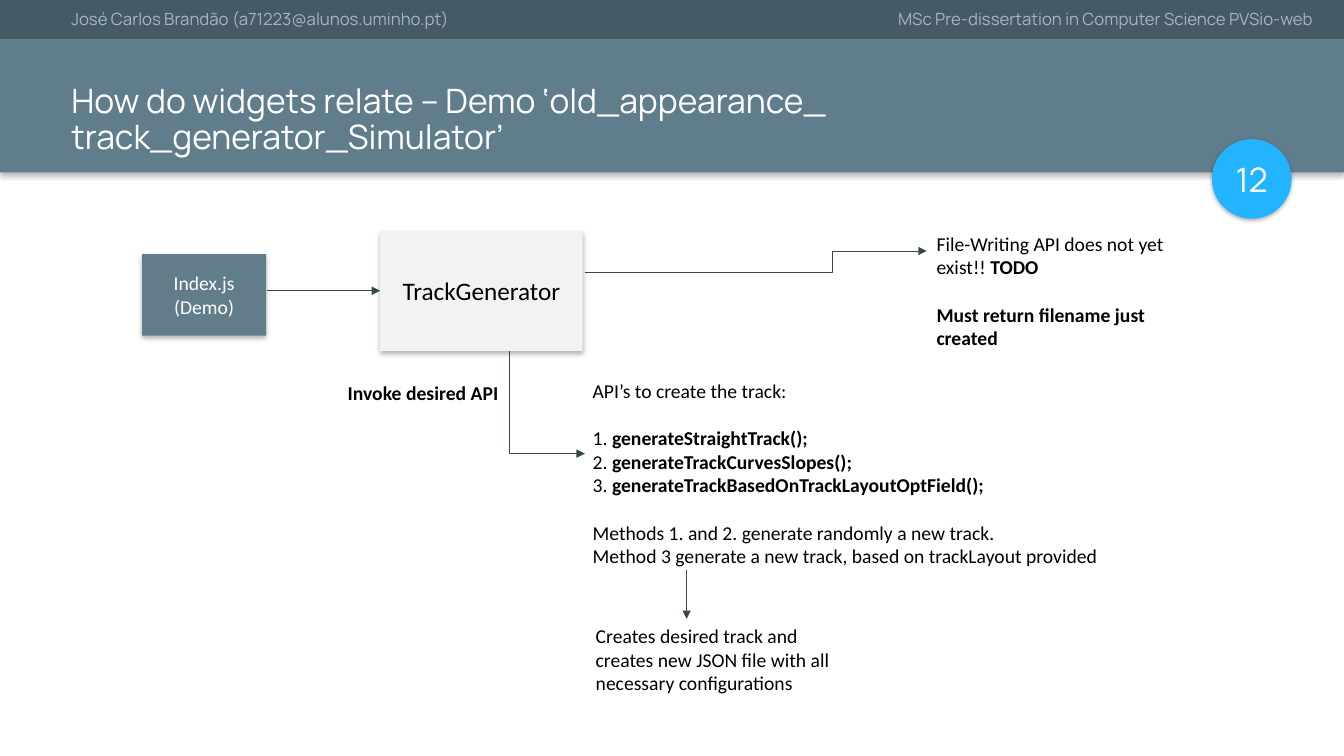
from dataclasses import dataclass

from lxml import etree
from pptx import Presentation
from pptx import util as u
from pptx.dml import color
from pptx.enum import shapes, text
from pptx.oxml import ns


@dataclass(frozen=True)
class Theme:
    heading_font: str = "Manrope"
    body_font: str = "Calibri"
    strip: str = "455A64"
    band: str = "607D8B"
    badge: str = "23B4FF"
    demo: str = "617D8A"
    generator: str = "F2F2F2"
    arrow: str = "37474F"
    muted: str = "A7B5BE"
    white: str = "FFFFFF"
    black: str = "000000"
    title_size: int = 24
    node_size: int = 18
    body_size: int = 14
    strip_size: int = 12
    paragraph_gap: int = 17
    arrow_width: float = 0.5


@dataclass(frozen=True)
class Box:
    left: float
    top: float
    width: float
    height: float

    def inner(self, left, top, width, height):
        return Box(self.left + left, self.top + top, width, height)

    def lengths(self):
        return [u.Inches(v) for v in (self.left, self.top, self.width, self.height)]


THEME = Theme()


def add_element(parent, tag, **attributes):
    return etree.SubElement(parent, ns.qn(tag), attributes)


def add_run(paragraph, words, size, font, ink, bold=False):
    run = paragraph.add_run()
    run.text = words
    run.font.size = u.Pt(size)
    run.font.name = font
    run.font.bold = bold
    run.font.color.rgb = color.RGBColor.from_string(ink)


def add_panel(slide, box, fill, kind=shapes.MSO_SHAPE.RECTANGLE, blur=4, distance=2):
    shape = slide.shapes.add_shape(kind, *box.lengths())
    shape.fill.solid()
    shape.fill.fore_color.rgb = color.RGBColor.from_string(fill)
    shape.line.fill.background()
    shape.shadow.inherit = False
    effects = shape._element.spPr.find(ns.qn("a:effectLst"))
    shadow = add_element(effects, "a:outerShdw", blurRad=str(u.Pt(blur)),
                         dist=str(u.Pt(distance)), dir="5400000", rotWithShape="0")
    shade = add_element(shadow, "a:srgbClr", val=THEME.black)
    add_element(shade, "a:alpha", val="30000")
    return shape


def add_label(shape, words, size, font, ink):
    frame = shape.text_frame
    frame.word_wrap = True
    frame.vertical_anchor = text.MSO_ANCHOR.MIDDLE
    paragraph = frame.paragraphs[0]
    paragraph.alignment = text.PP_ALIGN.CENTER
    add_run(paragraph, words, size, font, ink)


def add_heading(slide, box, words, size, ink):
    frame = slide.shapes.add_textbox(*box.lengths()).text_frame
    frame.word_wrap = True
    paragraph = frame.paragraphs[0]
    paragraph.line_spacing = 0.9
    add_run(paragraph, words, size, THEME.heading_font, ink)


def add_note(slide, box, groups):
    frame = slide.shapes.add_textbox(*box.lengths()).text_frame
    frame.word_wrap = True
    paragraph = None
    for group in groups:
        for position, runs in enumerate(group):
            starts_group = paragraph is not None and position == 0
            paragraph = frame.add_paragraph() if paragraph is not None else frame.paragraphs[0]
            if starts_group:
                paragraph.space_before = u.Pt(THEME.paragraph_gap)
            for words, bold in runs:
                add_run(paragraph, words, THEME.body_size, THEME.body_font, THEME.black, bold)


def add_arrow(slide, start, end, kind=shapes.MSO_CONNECTOR.STRAIGHT, bend=None):
    connector = slide.shapes.add_connector(kind, *(u.Inches(v) for v in (*start, *end)))
    connector.line.color.rgb = color.RGBColor.from_string(THEME.arrow)
    connector.line.width = u.Pt(THEME.arrow_width)
    properties = connector._element.spPr
    add_element(properties.find(ns.qn("a:ln")), "a:tailEnd", type="triangle")
    add_element(properties, "a:effectLst")
    if bend is not None:
        guides = properties.find(ns.qn("a:prstGeom")).find(ns.qn("a:avLst"))
        add_element(guides, "a:gd", name="adj1", fmla=f"val {round(bend * 100000)}")
    return connector


def add_down_right_arrow(slide, start, end):
    across, down = end[0] - start[0], end[1] - start[1]
    middle_x, middle_y = start[0] + across / 2, start[1] + down / 2
    connector = add_arrow(slide, (middle_x + down / 2, middle_y - across / 2),
                          (middle_x - down / 2, middle_y + across / 2),
                          shapes.MSO_CONNECTOR.ELBOW, bend=1)
    connector._element.spPr.find(ns.qn("a:xfrm")).set("rot", "16200000")


def add_header(slide, box):
    strip_height = 0.39
    add_panel(slide, box.inner(0, 0, box.width, strip_height), THEME.strip)
    add_panel(slide, box.inner(0, strip_height, box.width, box.height - strip_height), THEME.band)
    add_heading(slide, box.inner(0.61, 0.79, 11.4, 0.79),
                "How do widgets relate – Demo ‘old_appearance_ track_generator_Simulator’",
                THEME.title_size, THEME.white)
    for left, width, words in (
        (0.61, 4.17, "José Carlos Brandão (a71223@alunos.uminho.pt)"),
        (8.81, 4.5, "MSc Pre-dissertation in Computer Science PVSio-web"),
    ):
        add_heading(slide, box.inner(left, 0.06, width, 0.33), words,
                    THEME.strip_size, THEME.muted)
    badge = add_panel(slide, box.inner(12.02, 1.38, 0.79, 0.79), THEME.badge,
                      shapes.MSO_SHAPE.OVAL, blur=3, distance=1)
    add_label(badge, "12", THEME.title_size, THEME.heading_font, THEME.white)


def add_flow(slide, box):
    def point(left, top):
        return box.left + left, box.top + top

    demo = add_panel(slide, box.inner(0, 0.27, 1.23, 0.81), THEME.demo)
    add_label(demo, "Index.js (Demo)", THEME.body_size, THEME.body_font, THEME.white)
    generator = add_panel(slide, box.inner(2.36, 0.04, 2.01, 1.19), THEME.generator)
    add_label(generator, "TrackGenerator", THEME.node_size, THEME.body_font, THEME.black)

    add_note(slide, box.inner(7.78, 0, 2.58, 1.28), [
        [[("File-Writing API does not yet exist!! ", False), ("TODO", True)]],
        [[("Must return filename just created", True)]],
    ])
    methods = ("generateStraightTrack();", "generateTrackCurvesSlopes();",
               "generateTrackBasedOnTrackLayoutOptField();")
    add_note(slide, box.inner(4.37, 1.46, 5.23, 2.22), [
        [[("API’s to create the track:", False)]],
        [[(f"{number}. ", False), (method, True)] for number, method in enumerate(methods, 1)],
        [[("Methods 1. and 2. generate randomly a new track.", False)],
         [("Method 3 generate a new track, based on trackLayout provided", False)]],
    ])
    add_note(slide, box.inner(1.94, 1.48, 1.7, 0.34), [[[("Invoke desired API", True)]]])
    add_note(slide, box.inner(4.4, 3.89, 2.58, 0.81), [
        [[("Creates desired track and creates new JSON file with all "
           "necessary configurations", False)]],
    ])

    invoke = add_arrow(slide, point(1.24, 0.635), point(2.36, 0.635))
    invoke.end_connect(generator, 1)
    add_arrow(slide, point(4.39, 0.45), point(7.78, 0.24),
              shapes.MSO_CONNECTOR.ELBOW, bend=0.725)
    add_down_right_arrow(slide, point(3.64, 1.23), point(4.39, 2.25))
    add_arrow(slide, point(5.4, 3.4), point(5.4, 3.89))


def main():
    presentation = Presentation()
    presentation.slide_width = u.Inches(13.33)
    presentation.slide_height = u.Inches(7.5)
    slide = presentation.slides.add_slide(presentation.slide_layouts[6])
    add_header(slide, Box(0, 0, 13.33, 1.71))
    add_flow(slide, Box(1.41, 2.25, 10.36, 4.7))
    presentation.save("out.pptx")


if __name__ == "__main__":
    main()
